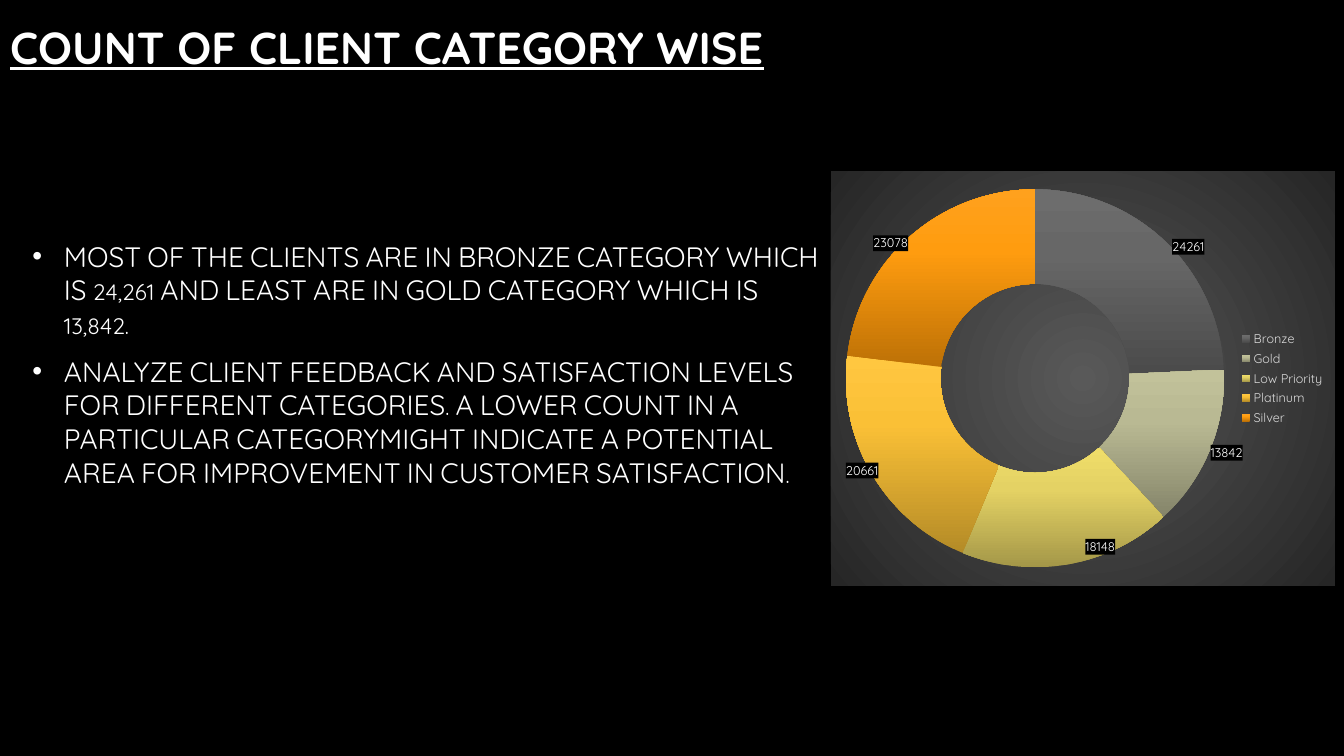
from pptx import Presentation
from pptx import util as u
from pptx.chart.data import CategoryChartData
from pptx.dml.color import RGBColor
from pptx.enum import chart as ch, text
from pptx.oxml import parse_xml
from pptx.oxml.ns import nsdecls

FONT = "Quicksand"
C = {"black": "000000", "white": "FFFFFF", "legend": "D9D9D9"}
TITLE = "COUNT OF CLIENT CATEGORY WISE"
BULLETS = [
    "MOST OF THE CLIENTS ARE IN BRONZE CATEGORY WHICH IS 24,261 AND LEAST ARE IN GOLD "
    "CATEGORY WHICH IS 13,842.",
    "ANALYZE CLIENT FEEDBACK AND SATISFACTION LEVELS FOR DIFFERENT CATEGORIES. A LOWER COUNT "
    "IN A PARTICULAR CATEGORYMIGHT INDICATE A POTENTIAL AREA FOR IMPROVEMENT IN CUSTOMER "
    "SATISFACTION.",
]
CLIENTS = [
    ("Bronze", 24261, ("4B4B4B", "676767", "6D6D6D"), (0.11, -0.07)),
    ("Gold", 13842, ("85856A", "B9B993", "C2C29A"), (0.12, 0.05)),
    ("Low Priority", 18148, ("A49748", "E4D264", "EFDD69"), (0.08, 0.07)),
    ("Platinum", 20661, ("B48B27", "FAC036", "FFC740"), (-0.1, 0.05)),
    ("Silver", 23078, ("BD7106", "FF9C0F", "FFA11D"), (-0.1, -0.07)),
]
BOX = {
    "title": (0, 0, 780, 66),
    "body": (16, 66, 577.5, 388),
    "chart": (593.5, 122.25, 360, 296),
}
TITLE_STOPS = [(0, "FFFFFF"), (100, "A6A6A6")]
BODY_STOPS = [(0, "FFFFFF"), (100, "BFBFBF")]
CHART_STOPS = [(0, "595959"), (100, "262626")]
CIRCLE = '<a:path path="circle"><a:fillToRect l="50000" t="50000" r="50000" b="50000"/></a:path>'


def rgb(name):
    return RGBColor.from_string(C[name])


def set_all(obj, values):
    for key, value in values.items():
        setattr(obj, key, value)


def gradient(stops, angle=None):
    marks = "".join(f'<a:gs pos="{pos * 1000}"><a:srgbClr val="{c}"/></a:gs>' for pos, c in stops)
    shade = CIRCLE if angle is None else f'<a:lin ang="{angle * 60000}" scaled="0"/>'
    return f'<a:gradFill {nsdecls("a")} rotWithShape="1"><a:gsLst>{marks}</a:gsLst>{shade}</a:gradFill>'


def layout(**values):
    items = "".join(f'<c:{key} val="{value}"/>' for key, value in values.items())
    return parse_xml(f'<c:layout {nsdecls("c")}><c:manualLayout>{items}</c:manualLayout></c:layout>')


def place(sp, name):
    set_all(sp, dict(zip(("left", "top", "width", "height"), map(u.Pt, BOX[name]))))
    set_all(sp.text_frame, {"word_wrap": True, "auto_size": text.MSO_AUTO_SIZE.NONE,
                            "vertical_anchor": text.MSO_ANCHOR.MIDDLE})
    return sp.text_frame


def write(p, words, stops, font):
    p.alignment = text.PP_ALIGN.LEFT
    r = p.add_run()
    r.text = words
    set_all(r.font, {"name": FONT, **font})
    rpr = r.font._element
    rpr.insert(0, parse_xml(gradient(stops, 93)))
    return rpr


def add_text(s):
    tf = place(s.shapes.title, "title")
    write(tf.paragraphs[0], TITLE, TITLE_STOPS,
          {"size": u.Pt(32), "bold": True, "underline": True})
    tf = place(s.placeholders[1], "body")
    for i, words in enumerate(BULLETS):
        p = tf.add_paragraph() if i else tf.paragraphs[0]
        write(p, words, BODY_STOPS, {"size": u.Pt(20)}).set("cap", "small")
        set_all(p, {"space_before": u.Pt(4), "space_after": u.Pt(6)})
        ppr = p._p.get_or_add_pPr()
        ppr.set("marL", str(u.Pt(22.5)))
        ppr.set("indent", str(u.Pt(-22.5)))
        for xml in (f'<a:buClr {nsdecls("a")}><a:srgbClr val="{C["white"]}"/></a:buClr>',
                    f'<a:buFont {nsdecls("a")} typeface="Arial"/>',
                    f'<a:buChar {nsdecls("a")} char="•"/>'):
            ppr.append(parse_xml(xml))


def add_doughnut(s):
    data = CategoryChartData()
    data.categories = [name for name, *_ in CLIENTS]
    data.add_series("Series 1", [count for _, count, *_ in CLIENTS])
    chart = s.shapes.add_chart(ch.XL_CHART_TYPE.DOUGHNUT, *map(u.Pt, BOX["chart"]), data).chart
    set_all(chart, {"has_title": False, "has_legend": True})
    set_all(chart.font, {"name": FONT, "size": u.Pt(10)})
    chart.font.color.rgb = rgb("white")
    set_all(chart.legend, {"position": ch.XL_LEGEND_POSITION.RIGHT, "include_in_layout": False})
    set_all(chart.legend.font, {"name": FONT, "size": u.Pt(9)})
    chart.legend.font.color.rgb = rgb("legend")

    space = chart._chartSpace
    for hole in space.xpath(".//c:holeSize"):
        hole.set("val", "75")
    area = space.xpath(".//c:plotArea")[0]
    for old in area.xpath("./c:layout"):
        area.remove(old)
    area.insert(0, layout(layoutTarget="inner", xMode="edge", yMode="edge",
                          x=0.03, y=0.04, w=0.75, h=0.92))
    space.xpath("./c:chart")[0].addnext(parse_xml(
        f'<c:spPr {nsdecls("c", "a")}>{gradient(CHART_STOPS)}<a:ln><a:noFill/></a:ln></c:spPr>'))

    points = chart.plots[0].series[0].points
    for i, (_, _, shades, (dx, dy)) in enumerate(CLIENTS):
        points[i].format.fill.solid()
        fill = space.xpath(f".//c:dPt[c:idx/@val='{i}']/c:spPr/a:solidFill")[0]
        fill.getparent().replace(fill, parse_xml(gradient(zip((0, 65, 100), shades), 270)))
        font = points[i].data_label.font
        set_all(font, {"name": FONT, "size": u.Pt(9)})
        font.color.rgb = rgb("white")
        label = space.xpath(f".//c:dLbl[c:idx/@val='{i}']")[0]
        for old in label.xpath("./c:spPr"):
            label.remove(old)
        label.xpath("./c:idx")[0].addnext(layout(x=dx, y=dy))
        label.xpath("./c:txPr")[0].addprevious(parse_xml(
            f'<c:spPr {nsdecls("c", "a")}><a:solidFill><a:srgbClr val="{C["black"]}"/>'
            '</a:solidFill></c:spPr>'))
    for leader in space.xpath(".//c:showLeaderLines"):
        leader.set("val", "0")


def main():
    prs = Presentation()
    set_all(prs, {"slide_width": u.Pt(960), "slide_height": u.Pt(540)})
    s = prs.slides.add_slide(prs.slide_layouts[1])
    s.background.fill.solid()
    s.background.fill.fore_color.rgb = rgb("black")
    add_text(s)
    add_doughnut(s)
    prs.save("out.pptx")


if __name__ == "__main__":
    main()
